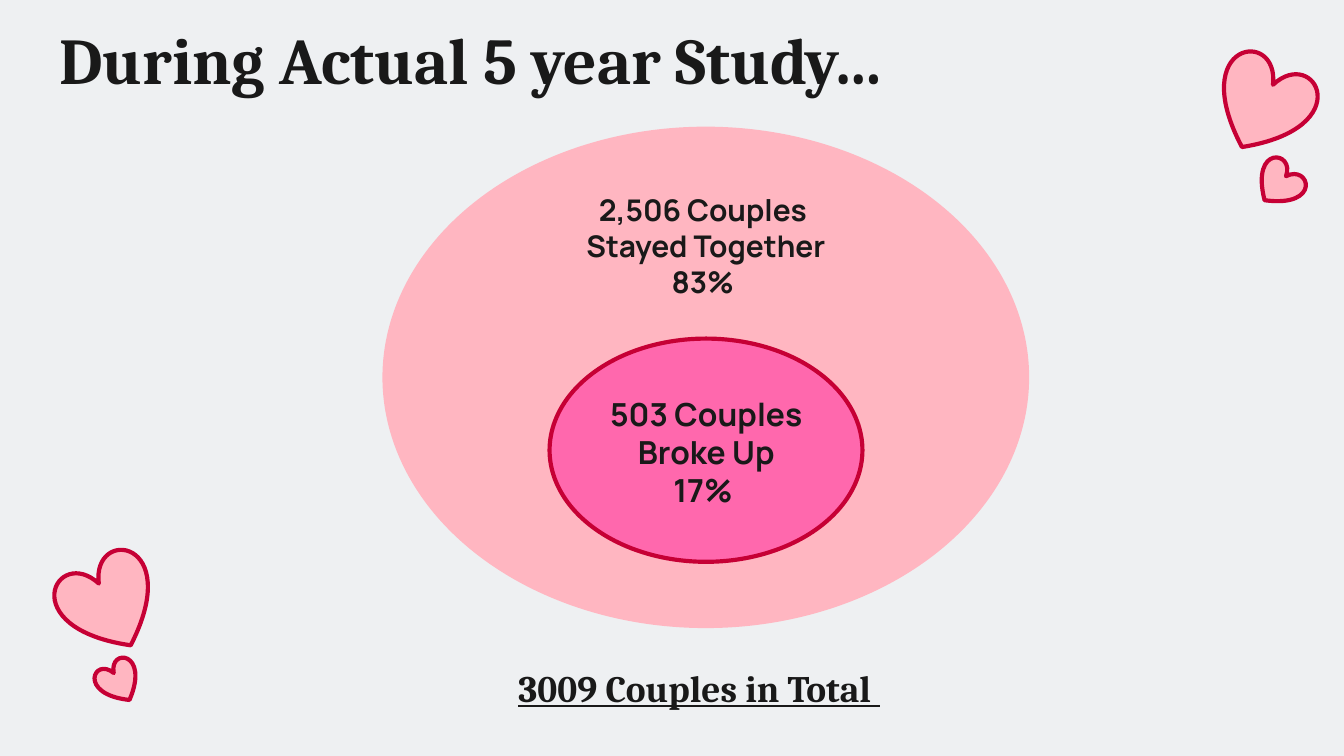
from pptx import Presentation
from pptx.util import Pt
from pptx.dml.color import RGBColor
from pptx.enum import shapes as s, text as t

INK = RGBColor(0x19, 0x19, 0x19)
PALE = RGBColor(0xEE, 0xF0, 0xF2)
PINK = RGBColor(0xFF, 0xB6, 0xC1)
HOT = RGBColor(0xFF, 0x68, 0xAD)
RED = RGBColor(0xC6, 0x00, 0x35)
SERIF, SANS = "Cambria", "Manrope"


def place(shape, box):
    shape.left, shape.top, shape.width, shape.height = map(Pt, box)


def write(shape, lines, face, size, align, anchor, under=None):
    frame = shape.text_frame
    frame.word_wrap = True
    frame.auto_size = t.MSO_AUTO_SIZE.NONE
    frame.vertical_anchor = anchor
    frame.margin_left = frame.margin_right = Pt(7.2)
    frame.margin_top = frame.margin_bottom = Pt(7.2)
    frame.text = "\n".join(lines)
    for para in frame.paragraphs:
        para.alignment = align
        font = para.font
        font.name, font.size, font.bold = face, Pt(size), True
        font.underline = under
        font.color.rgb = INK


def add_form(slide, kind, box, fill, edge, turn=0):
    form = slide.shapes.add_shape(kind, *map(Pt, box))
    form.shadow.inherit = False
    form.fill.solid()
    form.fill.fore_color.rgb = fill
    form.line.color.rgb = edge
    form.line.width = Pt(2.25)
    form.rotation = turn


def add_label(slide, box, lines, face, size, align, under=None):
    label = slide.shapes.add_textbox(*map(Pt, box))
    write(label, lines, face, size, align, t.MSO_ANCHOR.TOP, under)


def add_title(slide, box, words):
    title = slide.shapes.title
    place(title, box)
    write(title, [words], SERIF, 35, t.PP_ALIGN.LEFT, t.MSO_ANCHOR.MIDDLE)


def add_rings(slide, box):
    x, y, w, h = box
    oval, mid = s.MSO_SHAPE.OVAL, t.PP_ALIGN.CENTER
    add_form(slide, oval, box, PINK, PINK)
    add_form(slide, oval, (x + 88.4, y + 112.4, 167.6, 119.6), HOT, RED)
    add_label(slide, (x + 85.4, y + 26.6, 173.6, 77.8),
              ["2,506 Couples ", "Stayed Together", "83% "], SANS, 16, mid)
    add_label(slide, (x + 111.2, y + 135.4, 122.4, 74.2),
              ["503 Couples", "Broke Up", "17% "], SANS, 17, mid)


def add_hearts(slide, box, turns, small):
    x, y, w, h = box
    dx, wide, high = small
    heart = s.MSO_SHAPE.HEART
    add_form(slide, heart, (x, y, w, 49.7), PINK, RED, turns[0])
    add_form(slide, heart, (x + dx, y + h - high, wide, high), PINK, RED, turns[1])


def main():
    deck = Presentation()
    deck.slide_width, deck.slide_height = Pt(720), Pt(405)
    slide = deck.slides.add_slide(deck.slide_layouts[5])
    slide.background.fill.solid()
    slide.background.fill.fore_color.rgb = PALE
    add_title(slide, (24.5, 8.6, 656, 45.4), "During Actual 5 year Study…")
    add_label(slide, (270.7, 349.2, 235.4, 26), ["3009 Couples in Total "],
              SERIF, 20, t.PP_ALIGN.LEFT, True)
    add_rings(slide, (206, 69, 344.2, 266.4))
    add_hearts(slide, (33.1, 298.8, 51.1, 77.7), (332.7, 329.7), (19.5, 22.3, 22.3))
    add_hearts(slide, (650.9, 31.7, 51.1, 78.5), (26.5, 41.7), (21.6, 25.2, 23))
    deck.save("out.pptx")


if __name__ == "__main__":
    main()
